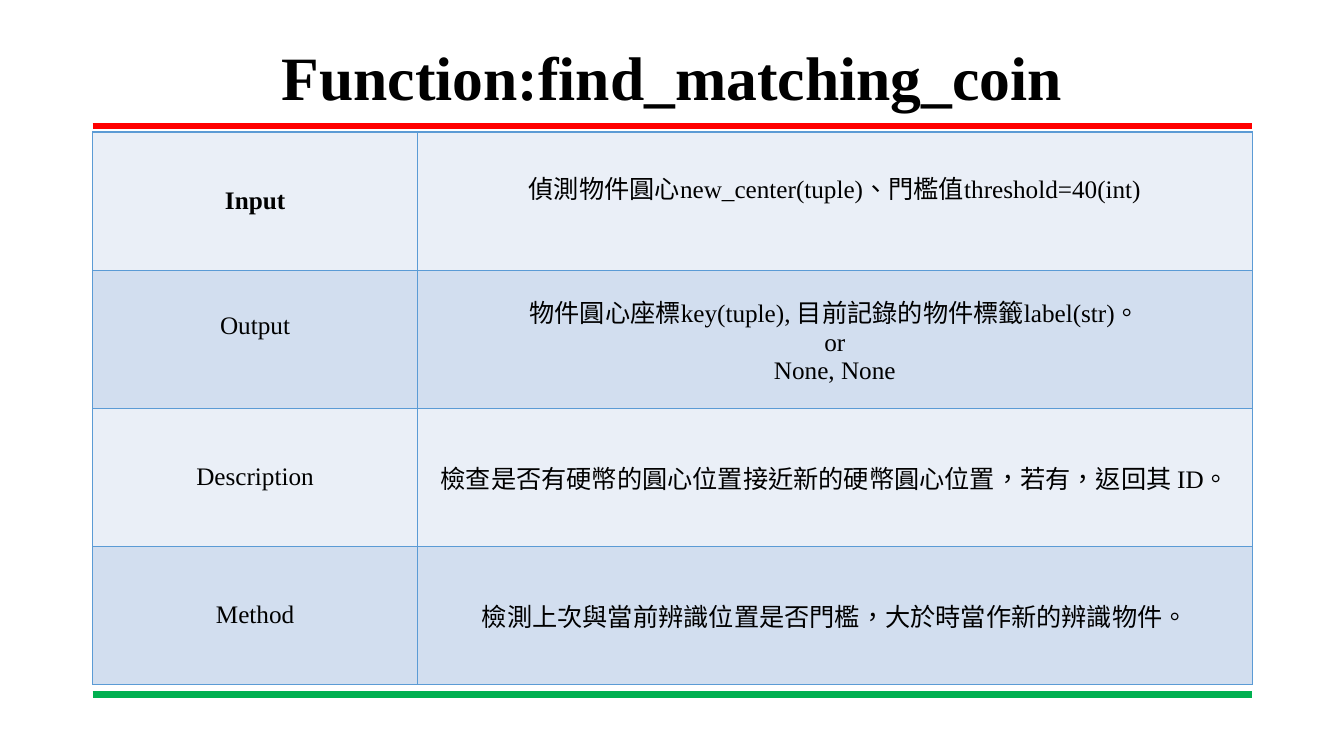
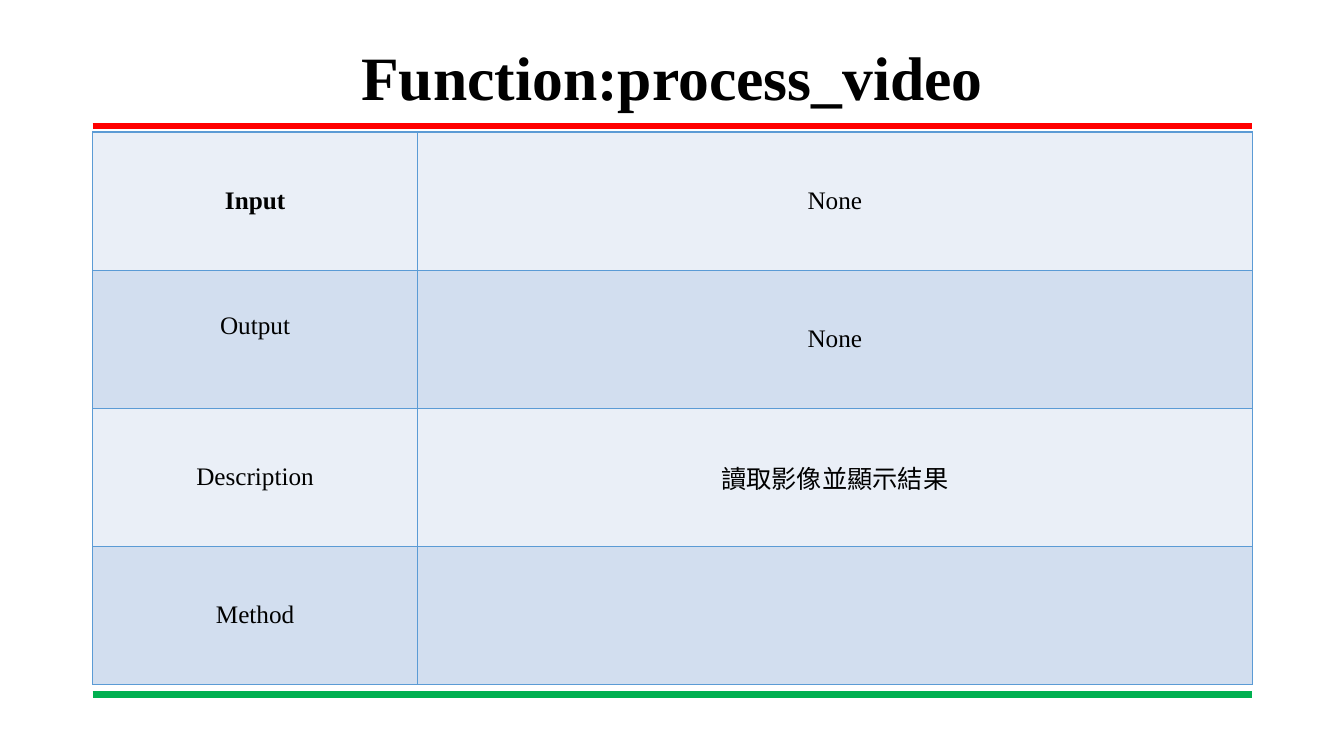
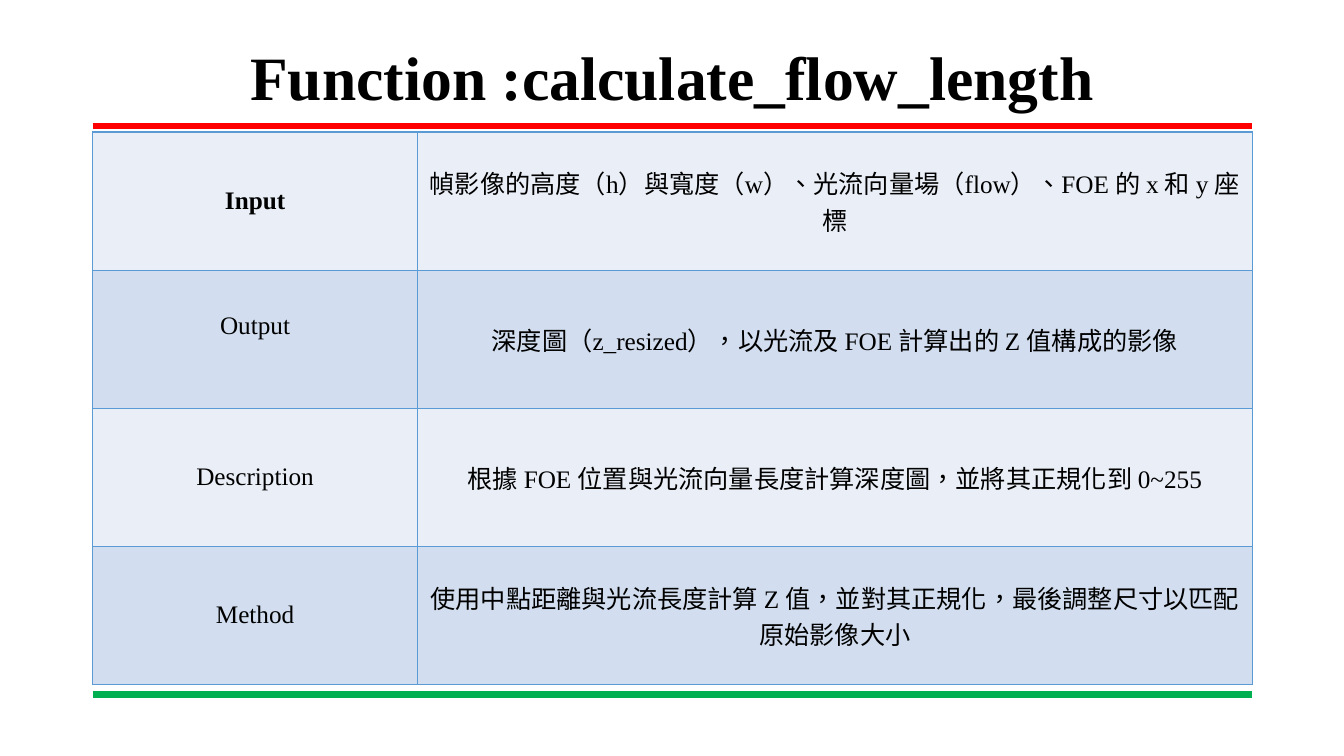
"""Build three slides, each documenting one function in a four-row table."""
from lxml import etree
from pptx import Presentation, util as u
from pptx.dml.color import RGBColor
from pptx.enum import lang, shapes, text
from pptx.oxml import ns

BLACK = RGBColor(0x00, 0x00, 0x00)
RED = RGBColor(0xFF, 0x00, 0x00)
GREEN = RGBColor(0x00, 0xB0, 0x50)
BORDER = RGBColor(0x5B, 0x9B, 0xD5)
BANDS = (RGBColor(0xEA, 0xEF, 0xF7), RGBColor(0xD2, 0xDE, 0xEF))
FONT = "Times New Roman"

LEFT, WIDTH = u.Inches(0.92), u.Inches(11.5)
TITLE_TOP, TITLE_HEIGHT = u.Inches(0.4), u.Inches(0.79)
TOP_RULE, BOTTOM_RULE = u.Inches(1.25), u.Inches(6.89)
TABLE_TOP, ROW_HEIGHT = u.Inches(1.31), u.Inches(1.37)
LABEL_SHARE = 0.28
RAISED_MARGIN = u.Inches(0.32)

LABELS = ("Input", "Output", "Description", "Method")
FUNCTIONS = (
    ("Function:find_matching_coin", (
        "偵測物件圓心new_center(tuple)、門檻值threshold=40(int)",
        "物件圓心座標key(tuple), 目前記錄的物件標籤label(str)。\nor\nNone, None",
        "檢查是否有硬幣的圓心位置接近新的硬幣圓心位置，若有，返回其 ID。",
        "檢測上次與當前辨識位置是否門檻，大於時當作新的辨識物件。",
    ), {(0, 1)}),
    ("Function:process_video", ("None", "None", "讀取影像並顯示結果", ""), set()),
    ("Function :calculate_flow_length", (
        "幀影像的高度（h）與寬度（w）、光流向量場（flow）、FOE 的 x 和 y 座標",
        "深度圖（z_resized），以光流及 FOE 計算出的 Z 值構成的影像",
        "根據 FOE 位置與光流向量長度計算深度圖，並將其正規化到 0~255",
        "使用中點距離與光流長度計算 Z 值，並對其正規化，最後調整尺寸以匹配原始影像大小",
    ), set()),
)


def write(frame, words, size, bold=False, spacing=1.0):
    """Fill a text frame with centred black text."""
    frame.text = words
    for para in frame.paragraphs:
        para.alignment = text.PP_ALIGN.CENTER
        para.line_spacing = spacing
        for span in para.runs:
            font = span.font
            font.name, font.size, font.bold = FONT, u.Pt(size), bold
            font.color.rgb = BLACK
            font.language_id = lang.MSO_LANGUAGE_ID.TRADITIONAL_CHINESE


def add_rule(page, top, color):
    """Draw a thick horizontal rule across the content width."""
    rule = page.shapes.add_connector(
        shapes.MSO_CONNECTOR.STRAIGHT, LEFT, top, LEFT + WIDTH, top)
    rule.line.color.rgb = color
    rule.line.width = u.Pt(4.5)
    etree.SubElement(rule._element.spPr, ns.qn("a:effectLst"))


def add_title(page, words):
    """Add the large bold heading."""
    box = page.shapes.add_textbox(LEFT, TITLE_TOP, WIDTH, TITLE_HEIGHT)
    frame = box.text_frame
    frame.word_wrap = True
    frame.vertical_anchor = text.MSO_ANCHOR.MIDDLE
    write(frame, words, 44, bold=True, spacing=0.9)


def add_borders(cell):
    """Outline all four sides of a table cell."""
    properties = cell._tc.get_or_add_tcPr()
    for side in ("a:lnL", "a:lnR", "a:lnT", "a:lnB"):
        line = etree.SubElement(properties, ns.qn(side), w=str(u.Pt(1)))
        fill = etree.SubElement(line, ns.qn("a:solidFill"))
        etree.SubElement(fill, ns.qn("a:srgbClr"), val=str(BORDER))


def add_function_table(page, values, raised):
    """Add the labelled table; raised cells sit above the row's middle."""
    rows = len(LABELS)
    table = page.shapes.add_table(
        rows, 2, LEFT, TABLE_TOP, WIDTH, ROW_HEIGHT * rows).table
    table.first_row = table.horz_banding = False
    label_width = int(WIDTH * LABEL_SHARE)
    table.columns[0].width = label_width
    table.columns[1].width = WIDTH - label_width
    for row, pair in enumerate(zip(LABELS, values)):
        table.rows[row].height = ROW_HEIGHT
        for column, words in enumerate(pair):
            cell = table.cell(row, column)
            add_borders(cell)
            cell.fill.solid()
            cell.fill.fore_color.rgb = BANDS[row % 2]
            cell.vertical_anchor = text.MSO_ANCHOR.MIDDLE
            if (row, column) in raised:
                cell.margin_bottom = RAISED_MARGIN
            write(cell.text_frame, words, 18, bold=(row, column) == (0, 0))


def main():
    """Build and save the deck."""
    deck = Presentation()
    deck.slide_width, deck.slide_height = u.Inches(13.33), u.Inches(7.5)
    for title, values, raised in FUNCTIONS:
        page = deck.slides.add_slide(deck.slide_layouts[6])
        add_rule(page, TOP_RULE, RED)
        add_rule(page, BOTTOM_RULE, GREEN)
        add_function_table(page, values, raised | {(1, 0)})
        add_title(page, title)
    deck.save("out.pptx")


if __name__ == "__main__":
    main()
